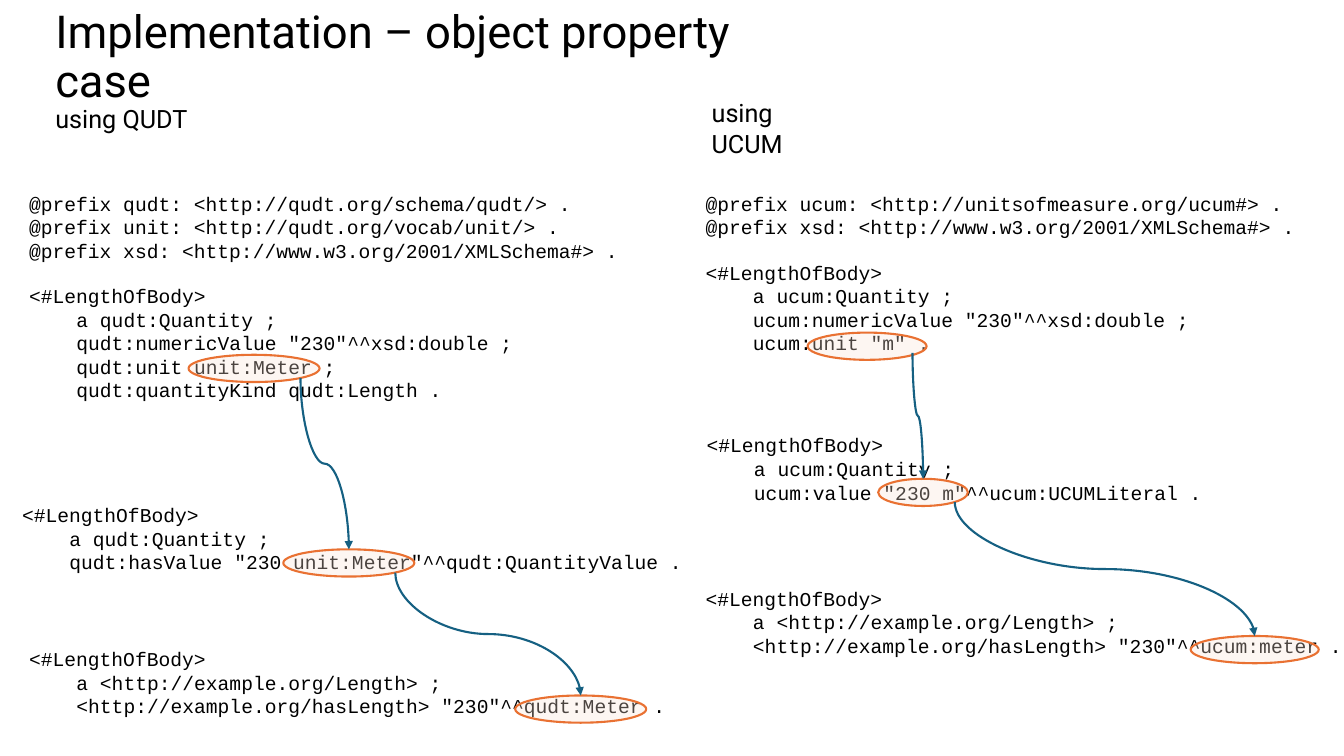
from lxml import etree
from pptx import Presentation
from pptx.dml.color import RGBColor
from pptx.enum.shapes import MSO_CONNECTOR, MSO_SHAPE
from pptx.enum.text import MSO_ANCHOR, PP_ALIGN
from pptx.oxml.ns import qn
from pptx.util import Inches, Pt

BLACK = RGBColor(0x00, 0x00, 0x00)
PEACH = RGBColor(0xFB, 0xE3, 0xD6)
ORANGE = RGBColor(0xE9, 0x71, 0x32)
TEAL = RGBColor(0x15, 0x60, 0x82)

CODE_SIZE = 14
CODE_LINE = 15.86  # points, height of one Courier New line
INDENT = 0.47  # inches, four characters
OVAL_HEIGHT = 0.27
DIAGONAL = 0.854  # where the lower right diagonal meets an oval

# left, top, width, height, size, line spacing, text
HEADINGS = [
    (0.45, 0.17, 7.24, 0.82, 32.4, 0.9, "Implementation – object property case"),
    (0.45, 0.98, 1.51, 0.4, 18, 1.0, "using QUDT"),
    (6.96, 0.92, 1.56, 0.4, 18, 1.0, "using UCUM"),
]

# left, top, width, prefixes, indented statements under <#LengthOfBody>
SUBJECT = "<#LengthOfBody>"
LISTINGS = [
    (0.19, 1.85, 6.07,
     ["@prefix qudt: <http://qudt.org/schema/qudt/> .",
      "@prefix unit: <http://qudt.org/vocab/unit/> .",
      "@prefix xsd: <http://www.w3.org/2001/XMLSchema#> ."],
     ["a qudt:Quantity ;",
      'qudt:numericValue "230"^^xsd:double ;',
      "qudt:unit unit:Meter ;",
      "qudt:quantityKind qudt:Length ."]),
    (0.12, 4.94, 6.78, [],
     ["a qudt:Quantity ;",
      'qudt:hasValue "230 unit:Meter"^^qudt:QuantityValue .']),
    (0.19, 6.37, 6.54, [],
     ["a <http://example.org/Length> ;",
      '<http://example.org/hasLength> "230"^^qudt:Meter .']),
    (6.9, 1.85, 6.07,
     ["@prefix ucum: <http://unitsofmeasure.org/ucum#> .",
      "@prefix xsd: <http://www.w3.org/2001/XMLSchema#> ."],
     ["a ucum:Quantity ;",
      'ucum:numericValue "230"^^xsd:double ;',
      'ucum:unit "m" .']),
    (6.91, 4.25, 5.14, [],
     ["a ucum:Quantity ;",
      'ucum:value "230 m"^^ucum:UCUMLiteral .']),
    (6.9, 5.77, 6.54, [],
     ["a <http://example.org/Length> ;",
      '<http://example.org/hasLength> "230"^^ucum:meter .']),
]

# Ovals of each column, linked from top to bottom: left, top, width
UNIT_CHAINS = [
    [(1.87, 3.52, 1.3), (2.81, 5.45, 1.3), (5.11, 6.9, 1.3)],
    [(8.01, 3.3, 1.18), (8.71, 4.75, 0.89), (11.81, 6.31, 1.27)],
]
# Arrows that leave an oval away from its diagonal point
SPECIAL_STARTS = {(8.01, 3.3, 1.18): (9.05, 3.5)}


def add_text_box(slide, left, top, width, height, wrap):
    box = slide.shapes.add_textbox(Inches(left), Inches(top), Inches(width), Inches(height))
    box.text_frame.word_wrap = wrap
    return box.text_frame


def add_run(paragraph, text, font, size):
    paragraph.alignment = PP_ALIGN.LEFT
    run = paragraph.add_run()
    run.text = text
    run.font.name = font
    run.font.size = Pt(size)
    run.font.color.rgb = BLACK


def add_heading(slide, left, top, width, height, size, spacing, text):
    frame = add_text_box(slide, left, top, width, height, True)
    frame.vertical_anchor = MSO_ANCHOR.MIDDLE if spacing < 1 else MSO_ANCHOR.TOP
    paragraph = frame.paragraphs[0]
    paragraph.line_spacing = spacing
    add_run(paragraph, text, "Roboto", size)


def add_listing(slide, left, top, width, prefixes, statements):
    lines = prefixes + [SUBJECT] + statements
    gap = CODE_LINE if prefixes else 0
    height = 0.1 + (len(lines) * CODE_LINE + gap) / 72
    frame = add_text_box(slide, left, top, width, height, False)
    for index, line in enumerate(lines):
        paragraph = frame.paragraphs[0] if index == 0 else frame.add_paragraph()
        if line == SUBJECT and prefixes:
            paragraph.space_before = Pt(gap)
        if index > len(prefixes):
            properties = paragraph._p.get_or_add_pPr()
            properties.set("marL", str(Inches(INDENT)))
            properties.set("indent", "0")
        add_run(paragraph, line, "Courier New", CODE_SIZE)


def add_oval(slide, left, top, width):
    oval = slide.shapes.add_shape(MSO_SHAPE.OVAL, Inches(left), Inches(top),
                                  Inches(width), Inches(OVAL_HEIGHT))
    oval.shadow.inherit = False
    oval.fill.solid()
    oval.fill.fore_color.rgb = PEACH
    color = oval._element.spPr.find(qn("a:solidFill"))[0]
    etree.SubElement(color, qn("a:alpha")).set("val", "30000")
    oval.line.color.rgb = ORANGE
    oval.line.width = Pt(1.5)


def add_curved_arrow(slide, start, end):
    """Draw an S-curve that leaves and arrives vertically, by turning the preset a quarter."""
    (x1, y1), (x2, y2) = start, end
    length, drop = y2 - y1, x2 - x1
    left, top = (x1 + x2 - length) / 2, (y1 + y2 - drop) / 2
    arrow = slide.shapes.add_connector(MSO_CONNECTOR.CURVE, Inches(left), Inches(top),
                                       Inches(left + length), Inches(top + drop))
    arrow.line.color.rgb = TEAL
    arrow.line.width = Pt(1.5)
    properties = arrow._element.spPr
    transform = properties.find(qn("a:xfrm"))
    transform.set("rot", "16200000")
    transform.set("flipH", "1")
    etree.SubElement(properties.find(qn("a:ln")), qn("a:tailEnd")).set("type", "triangle")
    etree.SubElement(properties, qn("a:effectLst"))


def main():
    presentation = Presentation()
    presentation.slide_width = Inches(13.33)
    presentation.slide_height = Inches(7.5)
    slide = presentation.slides.add_slide(presentation.slide_layouts[6])

    for heading in HEADINGS:
        add_heading(slide, *heading)
    for listing in LISTINGS:
        add_listing(slide, *listing)
    for chain in UNIT_CHAINS:
        for oval in chain:
            add_oval(slide, *oval)
        for source, target in zip(chain, chain[1:]):
            left, top, width = source
            diagonal = (left + DIAGONAL * width, top + DIAGONAL * OVAL_HEIGHT)
            start = SPECIAL_STARTS.get(source, diagonal)
            add_curved_arrow(slide, start, (target[0] + target[2] / 2, target[1]))

    presentation.save("out.pptx")


if __name__ == "__main__":
    main()
